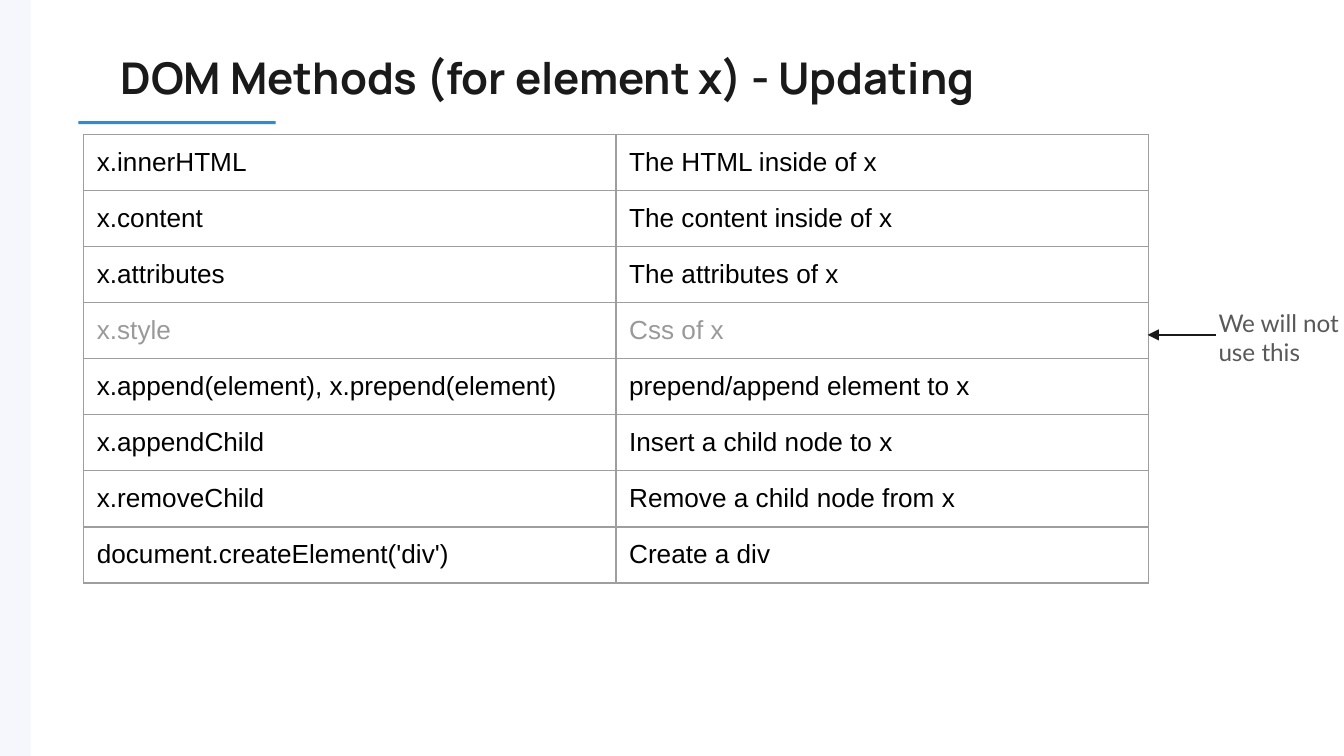
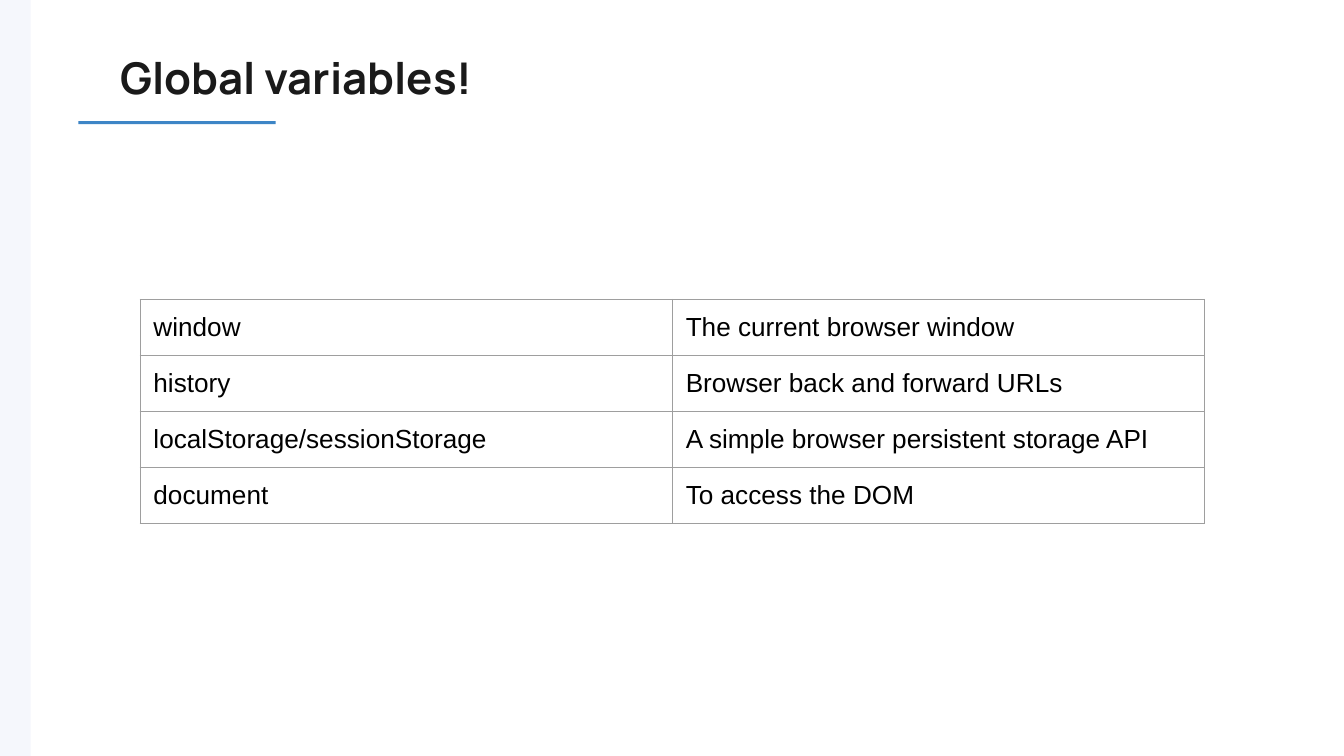
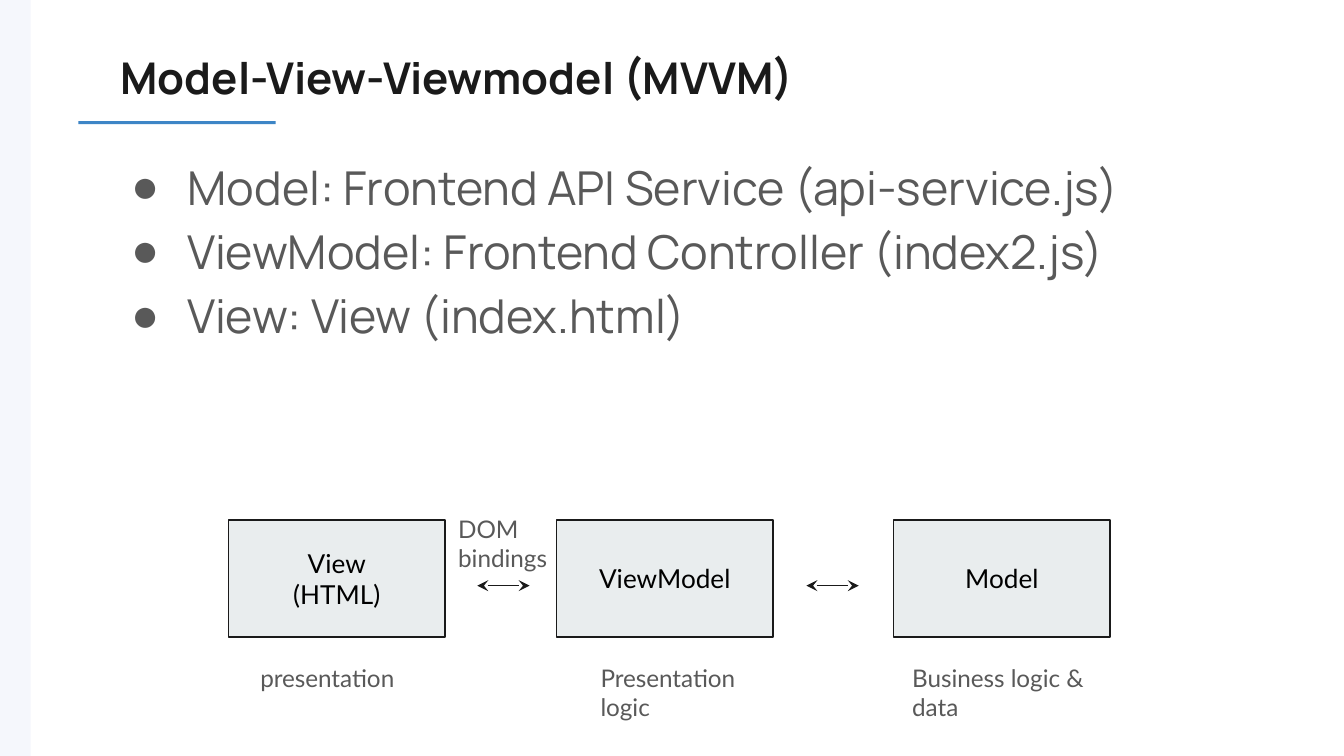
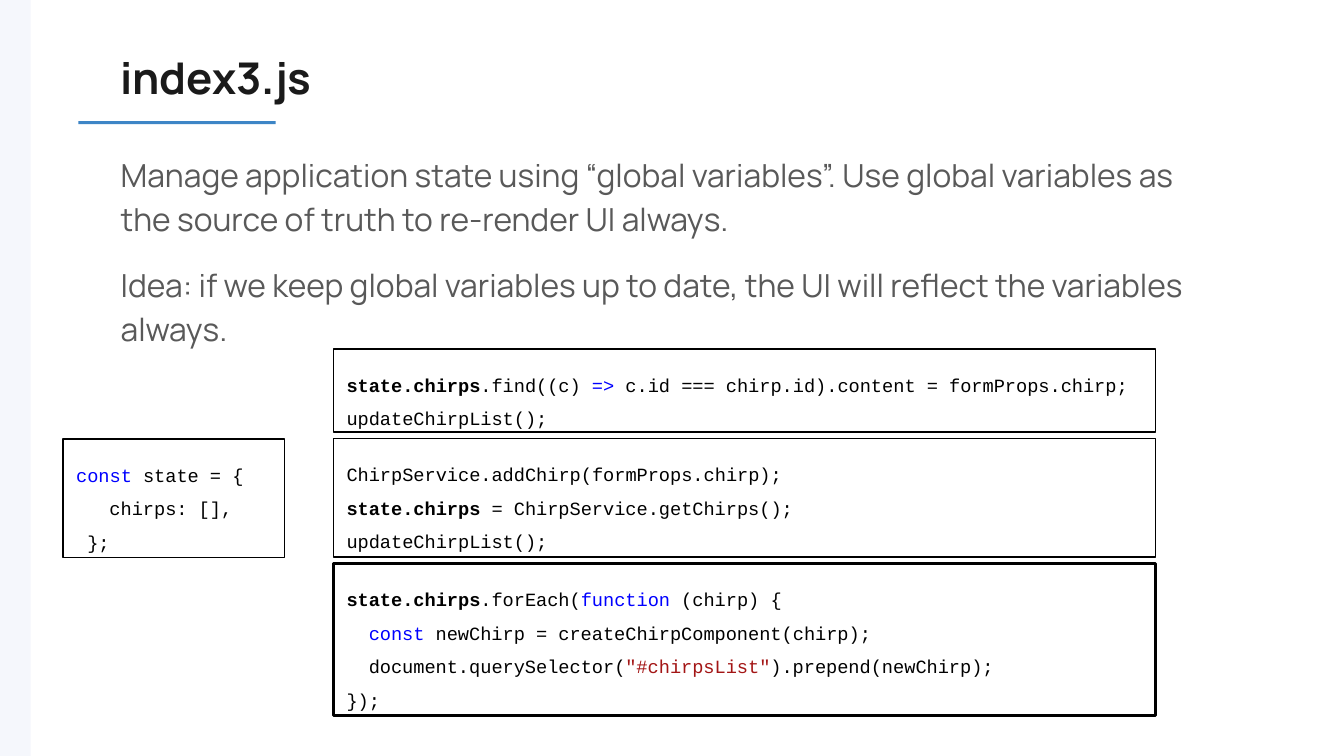
from lxml import etree
from pptx import Presentation
from pptx.dml.color import RGBColor
from pptx.enum.shapes import MSO_CONNECTOR, MSO_SHAPE
from pptx.enum.text import MSO_ANCHOR, MSO_AUTO_SIZE, PP_ALIGN
from pptx.oxml.ns import qn
from pptx.util import Cm, Pt

RECT = MSO_SHAPE.RECTANGLE
LINE = MSO_CONNECTOR.STRAIGHT
TOP, MIDDLE = MSO_ANCHOR.TOP, MSO_ANCHOR.MIDDLE
LEFT, CENTER = PP_ALIGN.LEFT, PP_ALIGN.CENTER
FIXED = MSO_AUTO_SIZE.NONE

BLACK = RGBColor(0, 0, 0)
DARK = RGBColor(0x1A, 0x1A, 0x1A)
GRAY = RGBColor(0x59, 0x59, 0x59)
FADED = RGBColor(0x99, 0x99, 0x99)
EDGE = RGBColor(0x9E, 0x9E, 0x9E)
PALE = RGBColor(0xF5, 0xF7, 0xFC)
NODE = RGBColor(0xE9, 0xED, 0xEE)
ACCENT = RGBColor(0x3D, 0x85, 0xC6)
BLUE = RGBColor(0, 0, 0xFF)
RED = RGBColor(0xA3, 0x15, 0x15)

WIDE, HIGH = 25.4, 14.29
INSET = 0.25
TITLE = (2.03, 0.71, 21.36, 1.5)
COL, ROW = 10.06, 1.06
CHAR = 0.21

UPDATES = [
    ("x.innerHTML", "The HTML inside of x"),
    ("x.content", "The content inside of x"),
    ("x.attributes", "The attributes of x"),
    ("x.style", "Css of x"),
    ("x.append(element), x.prepend(element)", "prepend/append element to x"),
    ("x.appendChild", "Insert a child node to x"),
    ("x.removeChild", "Remove a child node from x"),
    ("document.createElement('div')", "Create a div"),
]
GLOBALS = [
    ("window", "The current browser window"),
    ("history", "Browser back and forward URLs"),
    ("localStorage/sessionStorage", "A simple browser persistent storage API"),
    ("document", "To access the DOM"),
]
ROLES = [
    "Model: Frontend API Service (api-service.js)",
    "ViewModel: Frontend Controller (index2.js)",
    "View: View (index.html)",
]
IDEAS = [
    "Manage application state using “global variables”. Use global variables "
    "as the source of truth to re-render UI always.",
    "Idea: if we keep global variables up to date, the UI will reflect the "
    "variables always.",
]
NODES = [
    (0, ["View", "(HTML)"]),
    (6.2, ["ViewModel"]),
    (12.57, ["Model"]),
]
NOTES = [
    (0.35, 2.46, 3.4, "presentation"),
    (6.78, 2.46, 3.15, "Presentation logic"),
    (12.67, 2.46, 4.09, "Business logic & data"),
    (4.09, -0.36, 2.41, "DOM bindings"),
]
LIST = ("state.chirps", BLACK, True)
STATE = [
    (0, [("const", BLUE), " state = {"]),
    (3, ["chirps: [],"]),
    (1, ["};"]),
]
SNIPS = [
    (1.57, 0.75, [
        (0, [LIST, ".find((c) ", ("=>", BLUE),
             " c.id === chirp.id).content = formProps.chirp;"]),
        (0, ["updateChirpList();"]),
    ]),
    (2.24, 0.75, [
        (0, ["ChirpService.addChirp(formProps.chirp);"]),
        (0, [LIST, " = ChirpService.getChirps();"]),
        (0, ["updateChirpList();"]),
    ]),
    (2.87, 1.5, [
        (0, [LIST, ".forEach(", ("function", BLUE), " (chirp) {"]),
        (2, [("const", BLUE), " newChirp = createChirpComponent(chirp);"]),
        (2, ["document.querySelector(", ('"#chirpsList"', RED),
             ").prepend(newChirp);"]),
        (0, ["});"]),
    ]),
]


def cms(box):
    """Turn a box of numbers into lengths."""
    return [Cm(n) for n in box]


def place(shape, box):
    """Move a shape into a box."""
    shape.left, shape.top, shape.width, shape.height = cms(box)


def write(frame, paras, font, size, color, bold=False, align=LEFT, gap=1.0):
    """Fill a frame with paragraphs of runs and return the paragraphs."""
    for i, runs in enumerate(paras):
        para = frame.paragraphs[0] if i == 0 else frame.add_paragraph()
        para.alignment, para.line_spacing = align, gap
        para.space_before = Pt(0)
        for item in [runs] if isinstance(runs, str) else runs:
            text, tint, heavy = (
                (item, color, bold) if isinstance(item, str)
                else (*item, bold)[:3])
            run = para.add_run()
            run.text = text
            run.font.name, run.font.size = font, Pt(size)
            run.font.color.rgb, run.font.bold = tint, heavy
    return frame.paragraphs


def setup(frame, anchor=TOP):
    """Give a frame the shared insets, wrap and anchor."""
    frame.word_wrap, frame.auto_size = True, FIXED
    frame.vertical_anchor = anchor
    frame.margin_left = frame.margin_right = Cm(INSET)
    frame.margin_top = frame.margin_bottom = Cm(INSET)
    return frame


def block(slide, box, fill=None, edge=None, width=0.75):
    """Add a plain rectangle."""
    shape = slide.shapes.add_shape(RECT, *cms(box))
    shape.shadow.inherit = False
    if fill is None:
        shape.fill.background()
    else:
        shape.fill.solid()
        shape.fill.fore_color.rgb = fill
    if edge is None:
        shape.line.fill.background()
    else:
        shape.line.color.rgb, shape.line.width = edge, Pt(width)
    return shape


def arrow(slide, start, end, **ends):
    """Add a straight line with the given arrowheads."""
    line = slide.shapes.add_connector(LINE, *cms(start + end))
    line.line.color.rgb, line.line.width = DARK, Pt(0.75)
    props = line.element.spPr
    for tag, kind in ends.items():
        etree.SubElement(props.find(qn("a:ln")), qn(f"a:{tag}"), type=kind)
    etree.SubElement(props, qn("a:effectLst"))


def label(slide, box, text):
    """Add a small gray note."""
    shape = slide.shapes.add_textbox(*cms(box))
    write(setup(shape.text_frame), [text], "Lato", 13, GRAY)


def brand(deck, slide):
    """Put the side band and title rule on the master."""
    parts = [block(slide, (0, 0, 0.58, HIGH), PALE),
             block(slide, (1.48, 2.29, 3.73, 0.06), ACCENT)]
    tree = deck.slide_master.shapes.element
    for i, part in enumerate(parts):
        tree.insert(2 + i, part.element)


def start(deck, layout, title):
    """Add a slide with a formatted title."""
    slide = deck.slides.add_slide(deck.slide_layouts[layout])
    place(slide.shapes.title, TITLE)
    write(setup(slide.shapes.title.text_frame), [title],
          "Manrope", 23.4, DARK, True)
    return slide


def body(slide, box, paras, size, dots=False):
    """Fill the body placeholder, with or without bullets."""
    shape = slide.placeholders[1]
    place(shape, box)
    lines = write(setup(shape.text_frame), paras, "Manrope", size, GRAY,
                  gap=1.15)
    for i, para in enumerate(lines):
        props = para._p.get_or_add_pPr()
        if dots:
            props.set("marL", str(Cm(1.27)))
            props.set("indent", str(Cm(-1.07)))
            tint = etree.SubElement(props, qn("a:buClr"))
            etree.SubElement(tint, qn("a:srgbClr"), val=str(GRAY))
            etree.SubElement(props, qn("a:buChar"), char="●")
        else:
            para.space_before = Pt(12 if i else 0)
            props.set("marL", "0")
            props.set("indent", "0")
            etree.SubElement(props, qn("a:buNone"))


def border(cell):
    """Draw thin gray lines round a cell."""
    props = cell._tc.get_or_add_tcPr()
    for side in ("lnL", "lnR", "lnT", "lnB"):
        line = etree.SubElement(props, qn(f"a:{side}"), w=str(Pt(0.75)))
        fill = etree.SubElement(line, qn("a:solidFill"))
        etree.SubElement(fill, qn("a:srgbClr"), val=str(EDGE))


def grid(slide, left, top, rows, dim=None):
    """Add a two-column table, with one row dimmed if asked."""
    box = (left, top, 2 * COL, ROW * len(rows))
    table = slide.shapes.add_table(len(rows), 2, *cms(box)).table
    table.first_row = table.horz_banding = False
    for r, texts in enumerate(rows):
        table.rows[r].height = Cm(ROW)
        for c, text in enumerate(texts):
            cell = table.cell(r, c)
            border(cell)
            cell.fill.background()
            cell.margin_left = cell.margin_right = Cm(INSET)
            cell.margin_top = cell.margin_bottom = Cm(INSET)
            write(cell.text_frame, [text], "Arial", 14,
                  FADED if r == dim else BLACK)


def aside(slide, box, text):
    """Add a note with an arrow pointing left from it."""
    x, y, _, h = box
    mid = y + h / 2
    arrow(slide, (x + 0.2, mid), (x - 1.09, mid), tailEnd="triangle")
    label(slide, box, text)


def flow(slide, x, y):
    """Draw the three linked parts and their notes."""
    for dx, lines in NODES:
        shape = block(slide, (x + dx, y, 4.09, 2.21), NODE, DARK)
        write(setup(shape.text_frame, MIDDLE), lines, "Lato", 14, BLACK,
              align=CENTER)
    for dx in (4.7, 10.92):
        arrow(slide, (x + dx, y + 1.24), (x + dx + 0.99, y + 1.24),
              headEnd="stealth", tailEnd="stealth")
    for dx, dy, w, text in NOTES:
        label(slide, (x + dx, y + dy, w, 1), text)


def code(slide, box, lines, width=0.75):
    """Add a framed piece of code, indented by characters."""
    shape = block(slide, box, edge=BLACK, width=width)
    paras = write(setup(shape.text_frame), [runs for _, runs in lines],
                  "Courier New", 10, BLACK, gap=1.5)
    for para, (depth, _) in zip(paras, lines):
        para._p.get_or_add_pPr().set("marL", str(Cm(CHAR * depth)))


def stack(slide, x, y, w, gap=0.12):
    """Pile the code pieces in one column."""
    for h, width, lines in SNIPS:
        code(slide, (x, y, w, h), lines, width)
        y += h + gap


def main():
    """Build the deck."""
    deck = Presentation()
    deck.slide_width, deck.slide_height = Cm(WIDE), Cm(HIGH)

    slide = start(deck, 5, "DOM Methods (for element x) - Updating")
    brand(deck, slide)
    grid(slide, 1.58, 2.54, UPDATES, dim=3)
    aside(slide, (22.78, 5.58, 3.15, 1.5), "We will not use this")

    slide = start(deck, 5, "Global variables!")
    grid(slide, 2.65, 5.66, GLOBALS)

    slide = start(deck, 1, "Model-View-Viewmodel (MVVM)")
    body(slide, (2.03, 2.59, 21.36, 6.27), ROLES, 25, dots=True)
    flow(slide, 4.32, 9.83)

    slide = start(deck, 1, "index3.js")
    body(slide, (2.03, 2.59, 21.36, 10.85), IDEAS, 17)
    code(slide, (1.19, 8.3, 4.19, 2.24), STATE)
    stack(slide, 6.3, 6.6, 15.54)

    deck.save("out.pptx")


if __name__ == "__main__":
    main()
